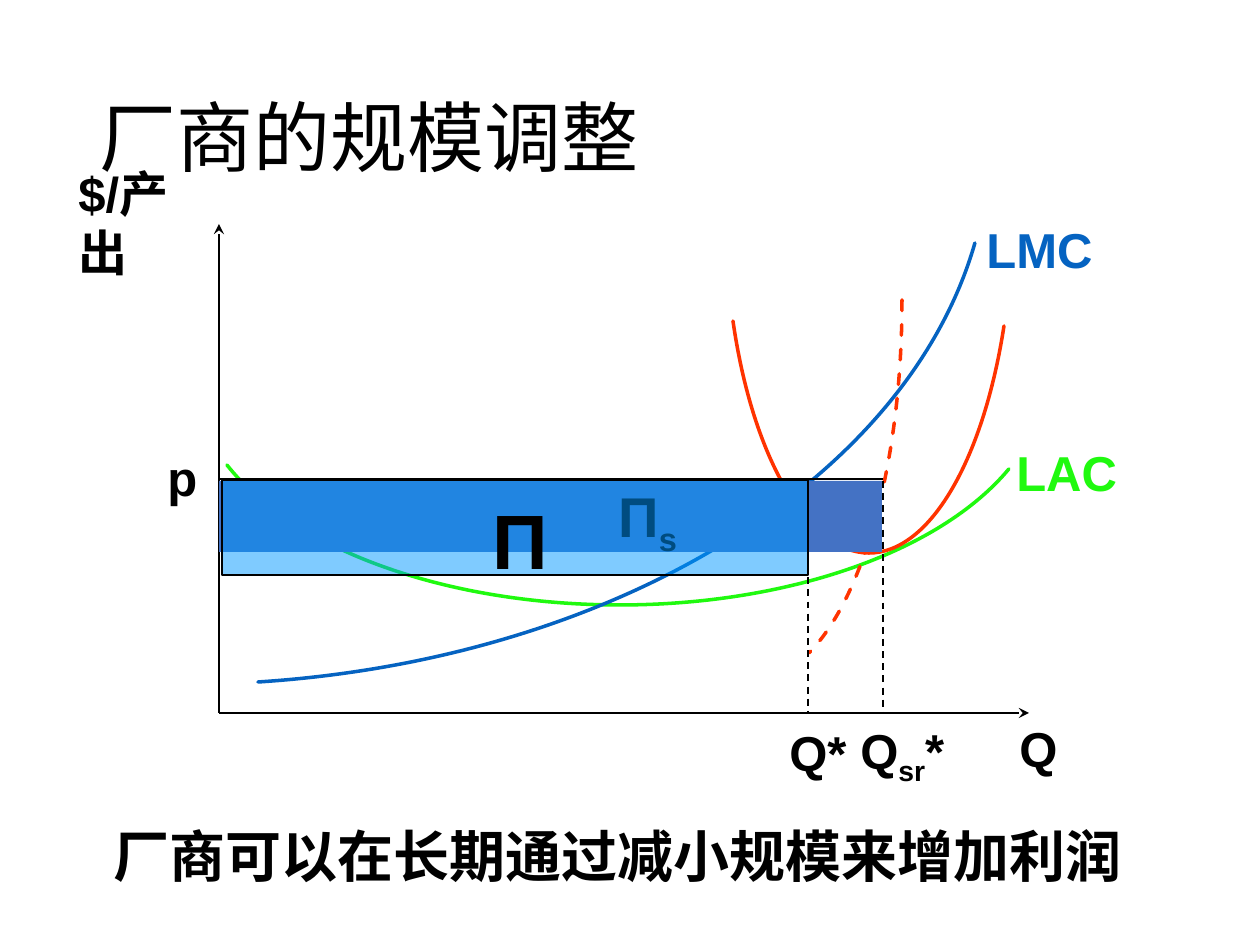
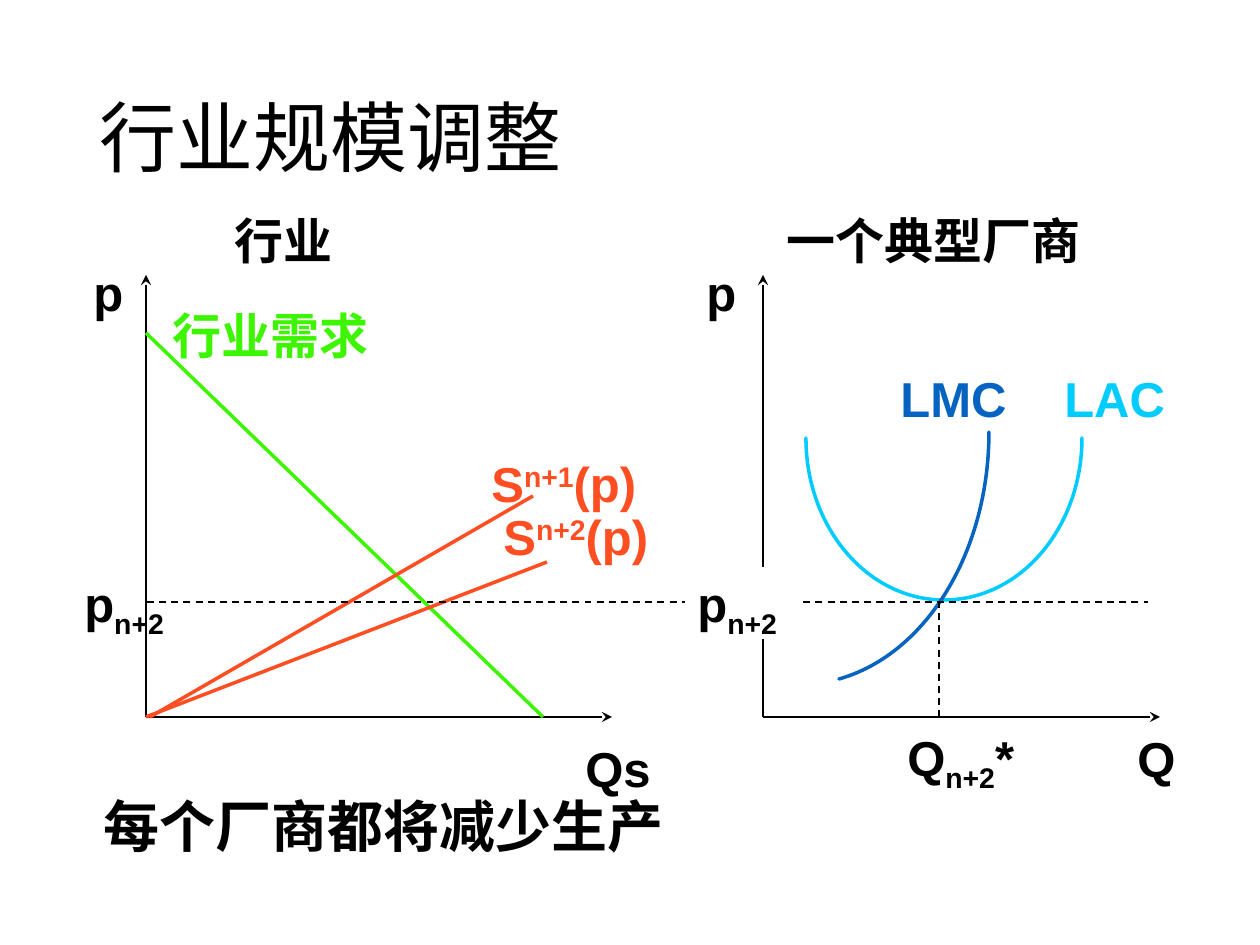
from lxml.etree import SubElement
from pptx import Presentation
from pptx.dml.color import RGBColor
from pptx.enum.dml import MSO_LINE
from pptx.enum.shapes import MSO_CONNECTOR, MSO_SHAPE
from pptx.enum.text import MSO_ANCHOR, MSO_AUTO_SIZE, PP_ALIGN
from pptx.oxml.ns import qn
from pptx.util import Emu, Inches, Pt

PX = 914400 / 126  # EMU in one pixel
ROW = 72           # height of a one-line label
BLACK = "black"
COLORS = {"black": "000000", "white": "FFFFFF", "blue": "0563C1", "green": "20F90F",
          "lime": "3DF500", "red": "FF3300", "orange": "FF4E21", "cyan": "00CCFF",
          "short_profit": "4472C4", "long_profit": "0099FF"}
TITLE_BOX = (87, 50, 1086, 183)

# axes: origin, top of the vertical axis, end of the horizontal axis
# curves: start, then Bezier control points in threes
# lines: from, to, options; labels: text ("_" lowers and "^" raises a part), box, options
FIRM = {
    "title": "厂商的规模调整",
    "axes": [((219, 713), 224, 1029)],
    "curves": [
        ("green", [(1009, 469), (940, 552), (788, 605), (620, 605),
                   (449, 605), (295, 551), (227, 465)], False),
        ("blue", [(975, 243), (907, 480), (615, 659), (258, 682)], False),
        ("red", [(1004, 326), (983, 462), (929, 553), (869, 553),
                 (809, 553), (753, 460), (733, 321)], False),
        ("red", [(902, 300), (902, 462), (864, 597), (809, 653)], True),
    ],
    "lines": [
        ((883, 479), (220, 479), {}),
        ((883, 481), (883, 714), {"dash": True}),
        ((808, 480), (808, 714), {"dash": True}),
    ],
    "labels": [
        ("LMC", (974, 213, 134, ROW), {"color": "blue"}),
        ("LAC", (1004, 436, 127, ROW), {"color": "green"}),
        ("Q", (1007, 712, 64, ROW), {}),
        ("$/产出", (66, 157, 160, ROW), {"wrap": True}),
        ("p", (155, 441, 55, ROW), {}),
        ("Q|_sr|*", (848, 714, 115, ROW), {}),
        ("Q*", (777, 716, 83, ROW), {}),
    ],
}
SHORT_PROFIT, LONG_PROFIT = (219, 481, 663, 71), (222, 480, 586, 95)
SHORT_LABEL = ("Π|_s", (606, 475, 88, 79), {"size": 32})
FIRM_TOP_LABELS = [
    ("Π", (480, 486, 84, 105), {"size": 44}),
    ("厂商可以在长期通过减小规模来增加利润", (101, 815, 1047, 81), {"size": 32}),
]

INDUSTRY = {
    "title": "行业规模调整",
    "axes": [((146, 717), 275, 612), ((763, 717), 275, 1160)],
    "curves": [
        ("cyan", [(1082, 438), (1082, 527), (1021, 600), (944, 600),
                  (868, 600), (806, 528), (806, 438)], False),
        ("blue", [(989, 432), (989, 551), (927, 654), (839, 679)], False),
    ],
    "lines": [
        ((146, 333), (543, 717), {"color": "lime", "width": 2}),
        ((150, 717), (533, 496), {"color": "orange", "width": 2}),
        ((146, 717), (547, 562), {"color": "orange", "width": 2}),
        ((939, 601), (939, 719), {"dash": True}),
        ((147, 602), (1148, 602), {"dash": True}),
    ],
    "labels": [
        ("S|^n+2|(p)", (491, 500, 180, ROW), {"color": "orange"}),
        ("S|^n+1|(p)", (479, 447, 180, ROW), {"color": "orange"}),
        ("行业需求", (160, 299, 222, ROW), {"color": "lime"}),
        ("LAC", (1052, 362, 127, ROW), {"color": "cyan"}),
        ("LMC", (888, 362, 134, ROW), {"color": "blue"}),
        ("Q", (1125, 722, 64, ROW), {}),
        ("一个典型厂商", (774, 204, 324, ROW), {}),
        ("行业", (222, 204, 125, ROW), {}),
        ("p", (81, 256, 55, ROW), {}),
        ("p", (694, 256, 55, ROW), {}),
        ("Qs", (573, 732, 92, ROW), {}),
        ("p|_n+2", (72, 567, 113, ROW), {}),
        ("每个厂商都将减少生产", (91, 785, 593, 81), {"size": 32}),
        ("Q|_n+2|*", (895, 721, 141, ROW), {}),
        ("p|_n+2", (685, 567, 113, ROW), {"fill": "white"}),
    ],
}


def px(*lengths):
    """Turn pixels into EMU."""
    return [Emu(round(n * PX)) for n in lengths]


def rgb(name):
    """Look up a colour."""
    return RGBColor.from_string(COLORS[name])


def style_line(line, color, width, dash=False):
    """Set colour, width and dash of an outline."""
    line.color.rgb = rgb(color)
    line.width = Pt(width)
    if dash:
        line.dash_style = MSO_LINE.DASH


def write(tf, text, size=28, color=BLACK, font="Arial", bold=True):
    """Write one paragraph whose parts may be raised or lowered."""
    p = tf.paragraphs[0]
    p.alignment = PP_ALIGN.LEFT
    for part in text.split("|"):
        r = p.add_run()
        r.text = part.lstrip("_^")
        r.font.size, r.font.bold, r.font.name = Pt(size), bold, font
        r.font.color.rgb = rgb(color)
        if part[0] in "_^":
            r.font._element.set("baseline", "-25000" if part[0] == "_" else "30000")
    return p


def add_label(s, text, box, wrap=False, fill=None, **fmt):
    """Add a text box that grows with its text."""
    sp = s.shapes.add_textbox(*px(*box))
    tf = sp.text_frame
    tf.word_wrap = wrap
    tf.auto_size = MSO_AUTO_SIZE.SHAPE_TO_FIT_TEXT
    if fill:
        sp.fill.solid()
        sp.fill.fore_color.rgb = rgb(fill)
    write(tf, text, **fmt)


def add_line(s, start, end, color=BLACK, width=1, dash=False, arrow=False):
    """Add a straight line, with an arrowhead at its end if asked."""
    sp = s.shapes.add_connector(MSO_CONNECTOR.STRAIGHT, *px(*start, *end))
    style_line(sp.line, color, width, dash)
    if arrow:
        SubElement(sp.line._get_or_add_ln(), qn("a:tailEnd"), type="stealth")
    SubElement(sp._element.spPr, qn("a:effectLst"))


def add_curve(s, color, points, dash):
    """Add an open Bezier curve: every three straight steps become one cubic."""
    builder = s.shapes.build_freeform(*points[0], scale=PX)
    builder.add_line_segments(points[1:], close=False)
    sp = builder.convert_to_shape()
    sp.shadow.inherit = False
    sp.fill.background()
    style_line(sp.line, color, 2, dash)
    sp.line._get_or_add_ln().set("cap", "rnd")
    outline = sp._element.find(".//" + qn("a:pathLst"))[0]
    steps = outline.findall(qn("a:lnTo"))
    for i in range(0, len(steps), 3):
        cubic = SubElement(outline, qn("a:cubicBezTo"))
        for step in steps[i:i + 3]:
            cubic.append(step[0])
            outline.remove(step)


def add_area(s, box, color, alpha=None, outlined=False):
    """Add a profit rectangle; alpha is its opacity in percent."""
    sp = s.shapes.add_shape(MSO_SHAPE.RECTANGLE, *px(*box))
    sp.shadow.inherit = False
    sp.fill.solid()
    sp.fill.fore_color.rgb = rgb(color)
    if alpha:
        solid = sp._element.spPr.find(qn("a:solidFill"))
        SubElement(solid[0], qn("a:alpha"), val=str(alpha * 1000))
    if outlined:
        style_line(sp.line, BLACK, 1)
    else:
        sp.line.fill.background()


def add_chart_slide(prs, content):
    """Add a titled slide with its axes, curves, lines and labels."""
    s = prs.slides.add_slide(prs.slide_layouts[5])
    title = s.shapes.title
    title.left, title.top, title.width, title.height = px(*TITLE_BOX)
    tf = title.text_frame
    tf.vertical_anchor = MSO_ANCHOR.MIDDLE
    tf.auto_size = MSO_AUTO_SIZE.NONE
    write(tf, content["title"], size=44, font="Calibri", bold=False).line_spacing = 0.9
    for origin, top, right in content["axes"]:
        add_line(s, origin, (origin[0], top), arrow=True)
        add_line(s, origin, (right, origin[1]), arrow=True)
    for curve in content["curves"]:
        add_curve(s, *curve)
    for start, end, options in content["lines"]:
        add_line(s, start, end, **options)
    for text, box, options in content["labels"]:
        add_label(s, text, box, **options)
    return s


prs = Presentation()
prs.slide_width, prs.slide_height = Inches(10), Inches(7.5)

firm = add_chart_slide(prs, FIRM)
add_area(firm, SHORT_PROFIT, "short_profit")
add_label(firm, *SHORT_LABEL[:2], **SHORT_LABEL[2])
add_area(firm, LONG_PROFIT, "long_profit", alpha=50, outlined=True)
for text, box, options in FIRM_TOP_LABELS:
    add_label(firm, text, box, **options)

add_chart_slide(prs, INDUSTRY)
prs.save("out.pptx")
